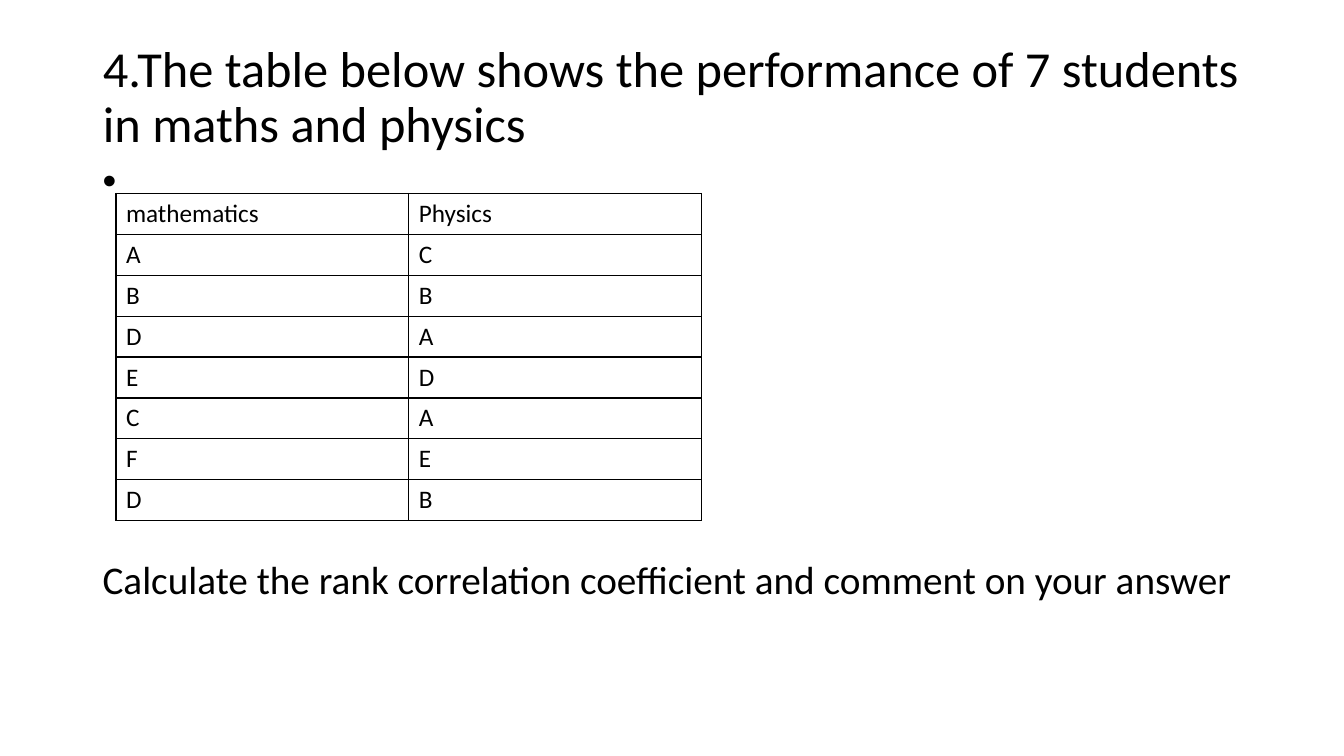
from typing import Any, NamedTuple

from lxml import etree
from pptx import Presentation
from pptx.dml.color import RGBColor
from pptx.enum.text import MSO_ANCHOR, MSO_AUTO_SIZE, PP_ALIGN
from pptx.oxml.ns import qn
from pptx.util import Inches, Pt

BLACK = RGBColor(0x00, 0x00, 0x00)
LEFT = PP_ALIGN.LEFT
TOP = MSO_ANCHOR.TOP
MIDDLE = MSO_ANCHOR.MIDDLE
NO_FIT = MSO_AUTO_SIZE.NONE
TITLE_ONLY = 5
BORDERS = ("a:lnL", "a:lnR", "a:lnT", "a:lnB")


class Line(NamedTuple):
    text: str
    size: float
    before: float = 0
    spacing: float = 0.9
    bullet: str = ""


class Grades(NamedTuple):
    mathematics: str
    physics: str


TITLE = Line("4.The table below shows the performance of 7 students in maths and physics", 36)
BODY = [
    Line(" ", 28, bullet="•"),
    Line("Calculate the rank correlation coefficient and comment on your answer", 28, before=254.5),
]
ROWS = [
    Grades("mathematics", "Physics"),
    Grades("A", "C"),
    Grades("B", "B"),
    Grades("D", "A"),
    Grades("E", "D"),
    Grades("C", "A"),
    Grades("F", "E"),
    Grades("D", "B"),
]


def set_all(target: Any, values: dict[str, Any]) -> None:
    for name, value in values.items():
        setattr(target, name, value)


def add_bullet(p: Any, char: str) -> None:
    pPr = p._p.get_or_add_pPr()
    pPr.set("marL", str(Inches(0.25)))
    pPr.set("indent", str(Inches(-0.25)))
    etree.SubElement(pPr, qn("a:buFont")).set("typeface", "Arial")
    etree.SubElement(pPr, qn("a:buChar")).set("char", char)


def write_line(p: Any, line: Line) -> None:
    if line.bullet:
        add_bullet(p, line.bullet)
    set_all(p, {"alignment": LEFT, "line_spacing": line.spacing, "space_before": Pt(line.before)})
    r = p.add_run()
    r.text = line.text
    set_all(r.font, {"name": "Calibri", "size": Pt(line.size), "bold": False})
    r.font.color.rgb = BLACK


def write_box(sp: Any, lines: list[Line], anchor: Any) -> None:
    tf = sp.text_frame
    set_all(tf, {"word_wrap": True, "auto_size": NO_FIT, "vertical_anchor": anchor})
    for i, line in enumerate(lines):
        write_line(tf.add_paragraph() if i else tf.paragraphs[0], line)


def add_borders(cell: Any) -> None:
    tcPr = cell._tc.get_or_add_tcPr()
    for tag in BORDERS:
        ln = etree.SubElement(tcPr, qn(tag), w=str(Pt(1)))
        fill = etree.SubElement(ln, qn("a:solidFill"))
        etree.SubElement(fill, qn("a:srgbClr")).set("val", str(BLACK))


def add_grades_table(s: Any, rows: list[Grades]) -> None:
    table = s.shapes.add_table(
        len(rows), len(Grades._fields), Inches(1.15), Inches(1.92), Inches(5.81), Inches(3.24)
    ).table
    set_all(table, {"first_row": False, "horz_banding": False})
    for i, row in enumerate(rows):
        for j, text in enumerate(row):
            cell = table.cell(i, j)
            add_borders(cell)
            cell.fill.background()
            write_line(cell.text_frame.paragraphs[0], Line(text, 18, spacing=1.0))


def main() -> None:
    prs = Presentation()
    set_all(prs, {"slide_width": Inches(13.33), "slide_height": Inches(7.5)})
    s = prs.slides.add_slide(prs.slide_layouts[TITLE_ONLY])
    title = s.shapes.title
    set_all(title, {
        "left": Inches(0.92), "top": Inches(0.4), "width": Inches(11.5), "height": Inches(1.16),
    })
    write_box(title, [TITLE], MIDDLE)
    body = s.shapes.add_textbox(Inches(0.92), Inches(1.56), Inches(11.5), Inches(5.56))
    write_box(body, BODY, TOP)
    add_grades_table(s, ROWS)
    prs.save("out.pptx")


if __name__ == "__main__":
    main()
